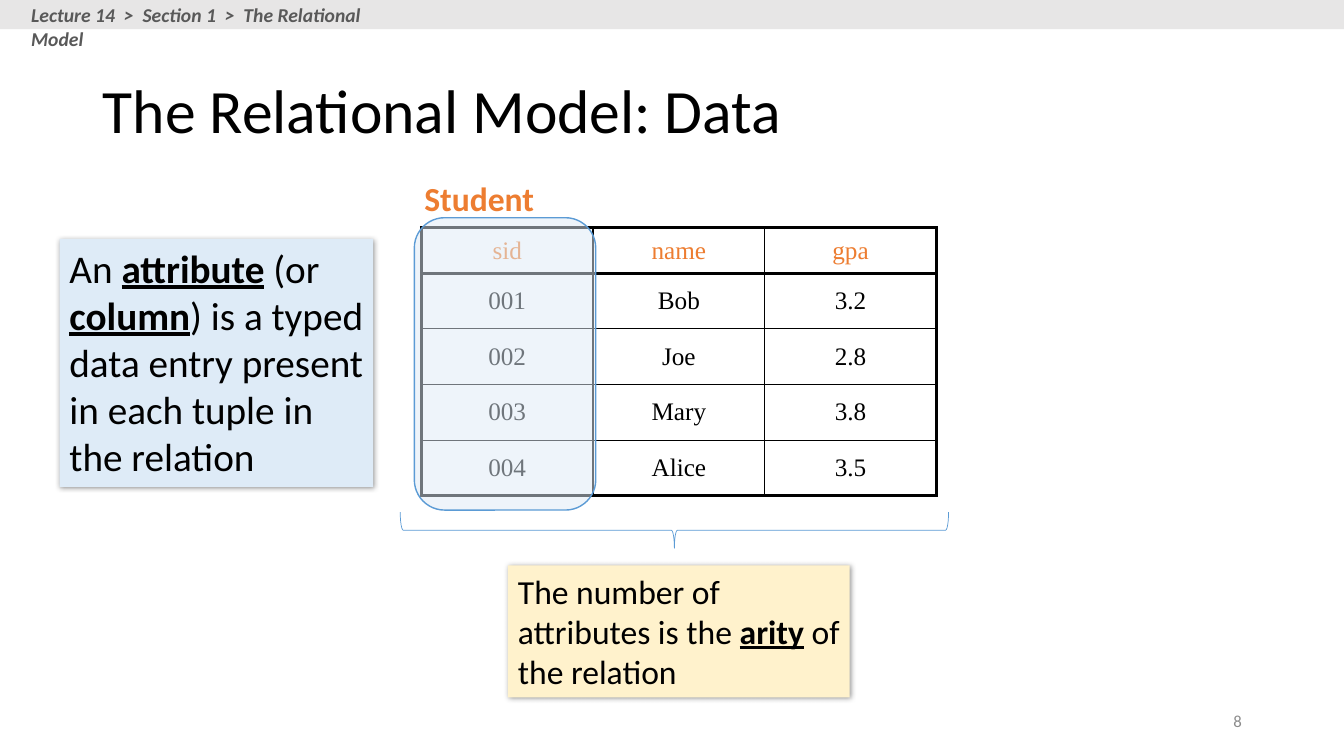
from dataclasses import dataclass
from typing import Optional

from lxml.etree import SubElement
from pptx import Presentation
from pptx.dml.color import RGBColor
from pptx.enum.shapes import MSO_SHAPE
from pptx.enum.text import MSO_ANCHOR, PP_ALIGN
from pptx.oxml.ns import qn
from pptx.util import Inches, Pt

WIDE, HIGH = Inches(13.333), Inches(7.5)
SANS, SERIF = "Calibri", "Times New Roman"
BLACK = RGBColor(0x00, 0x00, 0x00)
ORANGE = RGBColor(0xED, 0x7D, 0x31)
PALE = RGBColor(0xDE, 0xEB, 0xF7)
CREAM = RGBColor(0xFF, 0xF2, 0xCC)
BLUE = RGBColor(0x5B, 0x9B, 0xD5)
SILVER = RGBColor(0xE7, 0xE6, 0xE6)
GREY = RGBColor(0x59, 0x59, 0x59)
ASH = RGBColor(0x8C, 0x8C, 0x8C)
THICK, THIN = 2.25, 1


@dataclass
class Box:
    """A place in percent of the slide's width and height."""
    x: float
    y: float
    w: float
    h: float

    def place(self) -> tuple:
        return (across(self.x), down(self.y), across(self.w), down(self.h))


@dataclass
class Label:
    box: Box
    text: str
    size: int
    color: RGBColor
    bold: bool = False
    slant: bool = False
    wrap: bool = True
    align: PP_ALIGN = PP_ALIGN.LEFT
    anchor: MSO_ANCHOR = MSO_ANCHOR.TOP


@dataclass
class Note:
    box: Box
    text: str  # words between asterisks are key terms
    size: int
    fill: RGBColor


@dataclass
class Form:
    box: Box
    kind: MSO_SHAPE
    fill: Optional[RGBColor] = None
    alpha: int = 100
    line: Optional[RGBColor] = None
    width: float = 1
    turn: int = 0


TITLE = Box(6.9, 5.33, 86.25, 19.33)
TABLE = Box(31.35, 30.13, 38.33, 35.47)
HEAD, BODY = 6, 7.37
ROWS = [
    ("sid", "name", "gpa"),
    ("001", "Bob", "3.2"),
    ("002", "Joe", "2.8"),
    ("003", "Mary", "3.8"),
    ("004", "Alice", "3.5"),
]
LABELS = [
    Label(Box(30.83, 22.93, 9.83, 6.67), "Student", 24, ORANGE,
          bold=True, wrap=False),
    Label(Box(70.65, 92.67, 22.5, 5.33), "8", 12, ASH,
          align=PP_ALIGN.RIGHT, anchor=MSO_ANCHOR.MIDDLE),
    Label(Box(1.58, -0.27, 29.7, 4.53),
          "Lecture 14  >  Section 1  >  The Relational Model", 14, GREY,
          bold=True, slant=True),
]
NOTES = [
    Note(Box(4.43, 31.6, 23.33, 32.8),
         "An *attribute* (or *column*) is a typed data entry present "
         "in each tuple in the relation", 28, PALE),
    Note(Box(37.8, 74.8, 25.43, 17.47),
         "The number of attributes is the *arity* of the relation", 24, CREAM),
]
FORMS = [
    Form(Box(30.83, 28.8, 13.5, 38.67), MSO_SHAPE.ROUNDED_RECTANGLE,
         fill=PALE, alpha=50, line=BLUE),
    Form(Box(48.83, 33.87, 2.7, 72.53), MSO_SHAPE.LEFT_BRACE,
         line=BLUE, width=0.5, turn=270),
    Form(Box(0, 0, 100, 3.87), MSO_SHAPE.RECTANGLE, fill=SILVER),
]


def across(share: float) -> int:
    return round(WIDE * share / 100)


def down(share: float) -> int:
    return round(HIGH * share / 100)


def style(par, size: int, color: RGBColor, name: str = SANS) -> None:
    par.font.size, par.font.name = Pt(size), name
    par.font.color.rgb = color


def add_form(slide, form: Form):
    shape = slide.shapes.add_shape(form.kind, *form.box.place())
    shape.shadow.inherit = False
    shape.rotation = form.turn
    if form.fill is None:
        shape.fill.background()
    else:
        shape.fill.solid()
        shape.fill.fore_color.rgb = form.fill
        if form.alpha < 100:
            tint = shape.fill._xPr.find(f".//{qn('a:srgbClr')}")
            SubElement(tint, qn("a:alpha"), val=str(form.alpha * 1000))
    if form.line is None:
        shape.line.fill.background()
    else:
        shape.line.color.rgb = form.line
        shape.line.width = Pt(form.width)
    return shape


def add_note(slide, note: Note) -> None:
    shape = add_form(slide, Form(note.box, MSO_SHAPE.RECTANGLE, note.fill))
    # Soft shadow, down and to the right
    glow = shape._element.spPr.find(qn("a:effectLst"))
    cast = SubElement(glow, qn("a:outerShdw"), blurRad=str(Pt(4)),
                      dist=str(Pt(1)), dir=str(45 * 60000), algn="tl",
                      rotWithShape="0")
    tint = SubElement(cast, qn("a:srgbClr"), val=str(BLACK))
    SubElement(tint, qn("a:alpha"), val="40000")
    frame = shape.text_frame
    frame.word_wrap, frame.vertical_anchor = True, MSO_ANCHOR.TOP
    par = frame.paragraphs[0]
    par.alignment = PP_ALIGN.LEFT
    style(par, note.size, BLACK)
    for i, part in enumerate(note.text.split("*")):
        run = par.add_run()
        run.text = part
        if i % 2:
            run.font.bold = run.font.underline = True


def add_label(slide, label: Label) -> None:
    frame = slide.shapes.add_textbox(*label.box.place()).text_frame
    frame.word_wrap, frame.vertical_anchor = label.wrap, label.anchor
    par = frame.paragraphs[0]
    par.text, par.alignment = label.text, label.align
    style(par, label.size, label.color)
    par.font.bold, par.font.italic = label.bold, label.slant


def add_edge(cell, side: str, width: float) -> None:
    line = SubElement(cell._tc.get_or_add_tcPr(), qn(f"a:ln{side}"),
                      w=str(Pt(width)))
    fill = SubElement(line, qn("a:solidFill"))
    SubElement(fill, qn("a:srgbClr"), val=str(BLACK))


def add_grid(slide) -> None:
    rows, cols = len(ROWS), len(ROWS[0])
    table = slide.shapes.add_table(rows, cols, *TABLE.place()).table
    table.first_row = table.horz_banding = False
    for col in table.columns:
        col.width = across(TABLE.w / cols)
    for r, texts in enumerate(ROWS):
        table.rows[r].height = down(BODY if r else HEAD)
        for c, text in enumerate(texts):
            cell = table.cell(r, c)
            # Heavy outer frame and heavy rule under the header
            heavy = {"L": c == 0, "R": c == cols - 1,
                     "T": r < 2, "B": r in (0, rows - 1)}
            for side, bold in heavy.items():
                add_edge(cell, side, THICK if bold else THIN)
            cell.fill.background()
            cell.vertical_anchor = MSO_ANCHOR.MIDDLE
            par = cell.text_frame.paragraphs[0]
            par.text, par.alignment = text, PP_ALIGN.CENTER
            par.space_before = Pt(3.6)
            style(par, 18, BLACK if r else ORANGE, SERIF)


def add_title(slide, text: str) -> None:
    title = slide.shapes.title
    title.left, title.top, title.width, title.height = TITLE.place()
    title.text_frame.vertical_anchor = MSO_ANCHOR.MIDDLE
    par = title.text_frame.paragraphs[0]
    par.text, par.alignment, par.line_spacing = text, PP_ALIGN.LEFT, 0.9
    style(par, 44, BLACK)


def main() -> None:
    deck = Presentation()
    deck.slide_width, deck.slide_height = WIDE, HIGH
    slide = deck.slides.add_slide(deck.slide_layouts[5])
    add_title(slide, "The Relational Model: Data")
    add_grid(slide)
    # Callouts, then column marker, brace and top bar, then labels
    for note in NOTES:
        add_note(slide, note)
    for form in FORMS:
        add_form(slide, form)
    for label in LABELS:
        add_label(slide, label)
    deck.save("out.pptx")


if __name__ == "__main__":
    main()
